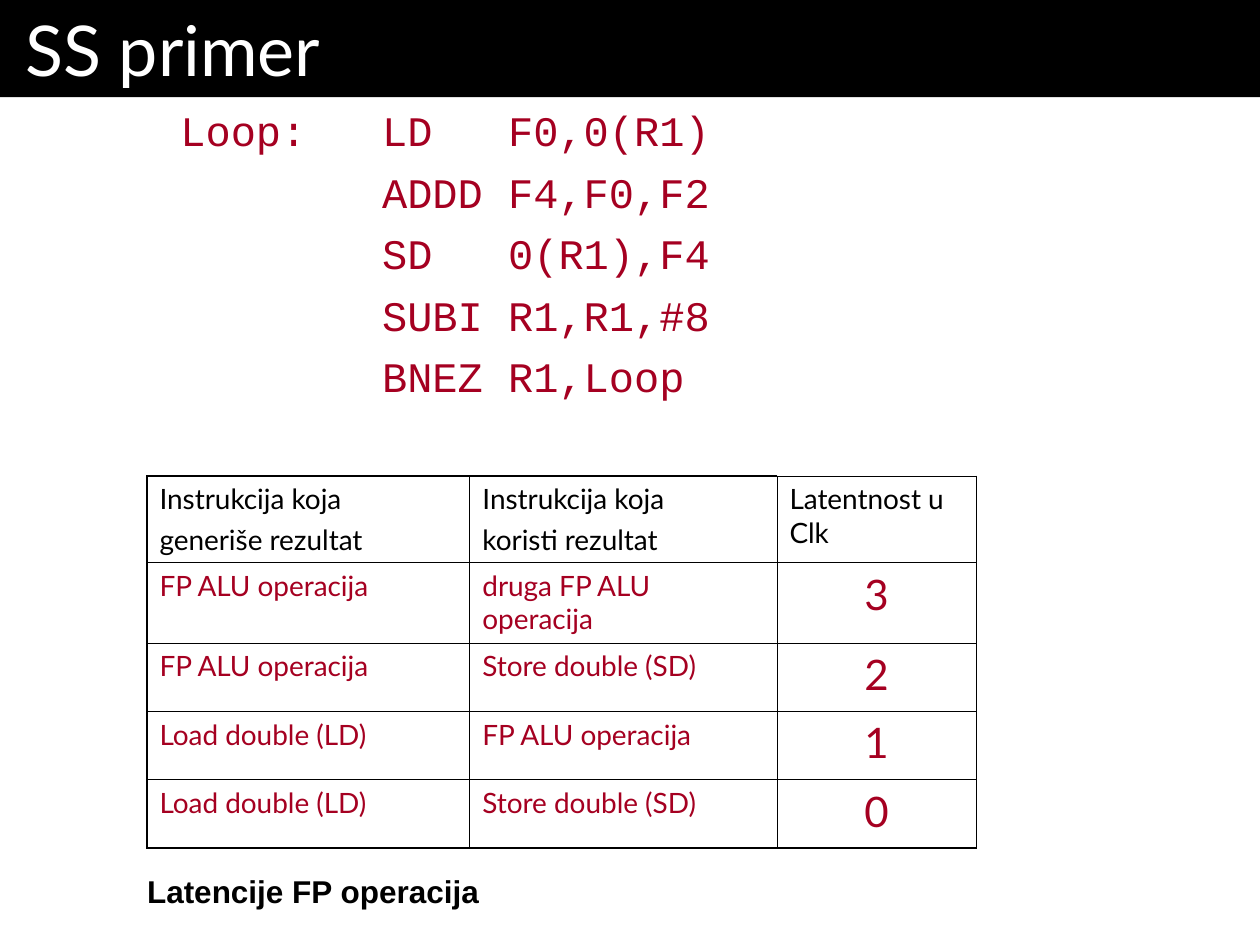
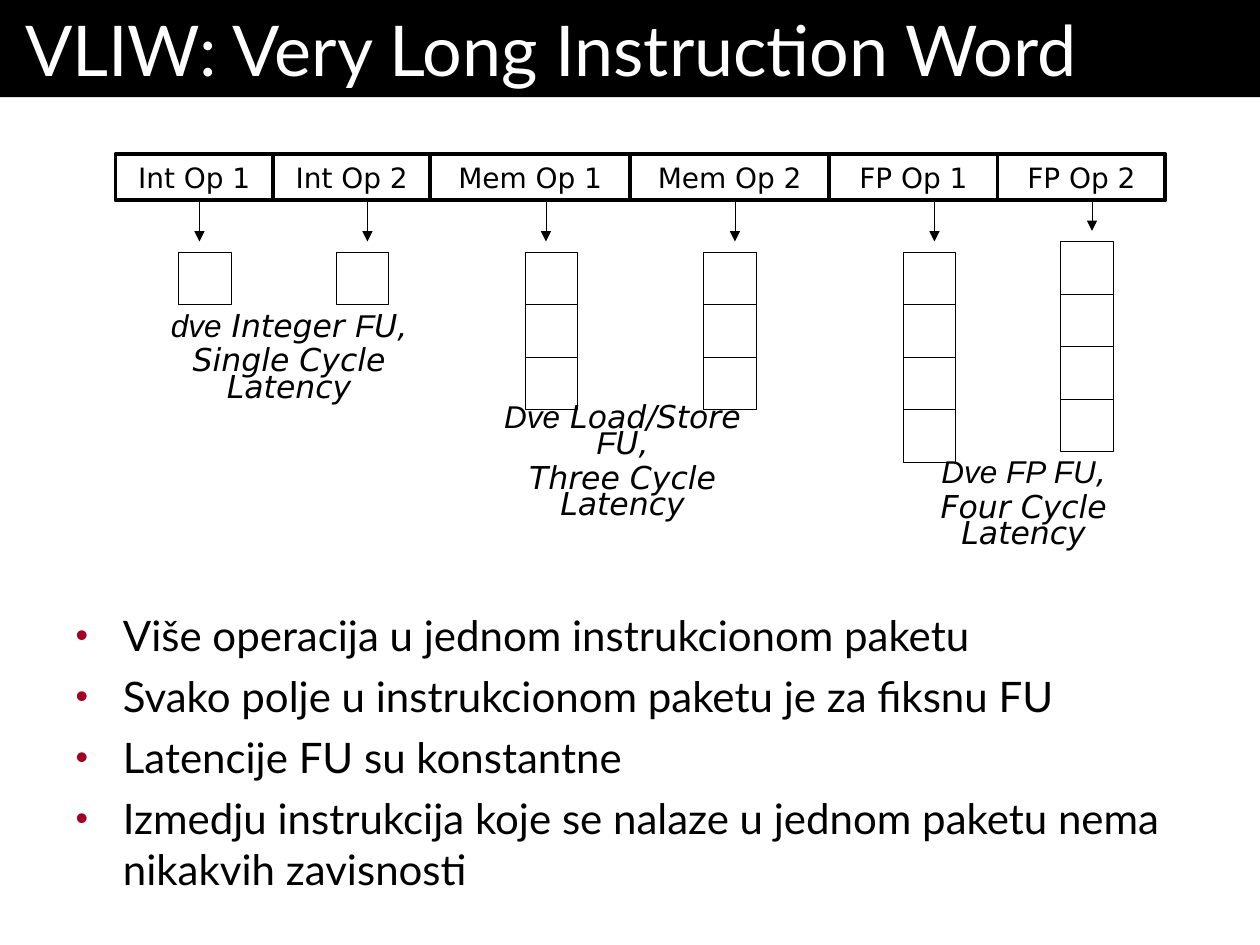
from dataclasses import dataclass
from itertools import accumulate

from lxml import etree
from pptx import Presentation
from pptx.dml.color import RGBColor
from pptx.enum import shapes, text
from pptx.oxml import ns
from pptx.util import Pt


@dataclass(frozen=True)
class Theme:
    ink: RGBColor = RGBColor(0, 0, 0)
    paper: RGBColor = RGBColor(255, 255, 255)
    accent: RGBColor = RGBColor(0xA5, 0x00, 0x21)
    main_font: str = "Lato"
    code_font: str = "Courier New"
    caption_font: str = "Arial"
    diagram_font: str = "DejaVu Sans"
    title_size: float = 40
    body_size: float = 24
    label_size: float = 18
    small_size: float = 16
    thin: float = 0.25
    grid: float = 0.45
    frame: float = 1.08
    thick: float = 2.25


THEME = Theme()
CENTER, LEFT = text.PP_ALIGN.CENTER, text.PP_ALIGN.LEFT
TOP, MIDDLE, BOTTOM = (text.MSO_ANCHOR.TOP, text.MSO_ANCHOR.MIDDLE,
                       text.MSO_ANCHOR.BOTTOM)

# Content: loop example
LOOP_TITLE = "SS primer"
LOOP_CODE = [
    "Loop:   LD   F0,0(R1)",
    "        ADDD F4,F0,F2",
    "        SD   0(R1),F4",
    "        SUBI R1,R1,#8",
    "        BNEZ R1,Loop",
]
LATENCY_ROWS = [
    (["Instrukcija koja", "generiše rezultat"],
     ["Instrukcija koja", "koristi rezultat"], ["Latentnost u Clk"]),
    (["FP ALU operacija"], ["druga FP ALU operacija"], ["3"]),
    (["FP ALU operacija"], ["Store double (SD)"], ["2"]),
    (["Load double (LD)"], ["FP ALU operacija"], ["1"]),
    (["Load double (LD)"], ["Store double (SD)"], ["0"]),
]
LATENCY_WIDTHS = [184.5, 175.5, 114]
LATENCY_HEIGHTS = [49.5, 46, 39, 39, 39]
LATENCY_CAPTION = "Latencije FP operacija"

# Content: VLIW packet
VLIW_TITLE = "VLIW: Very Long Instruction Word"
# operation, field width, arrow x, pipeline left, pipeline top, stages
OPERATIONS = [
    ("Int Op 1", 90, 114, 102, 144, 1),
    ("Int Op 2", 90, 210, 192, 144, 1),
    ("Mem Op 1", 114, 312, 300, 144, 3),
    ("Mem Op 2", 114, 420, 402, 144, 3),
    ("FP Op 1", 96, 534, 516, 144, 4),
    ("FP Op 2", 96, 624, 606, 138, 4),
]
PACKET_LEFT, PACKET_TOP, PACKET_HEIGHT = 66, 88, 26.5
STAGE_SIZE, ARROW_GAP = 30, 6
ARIAL, DEJAVU = THEME.caption_font, THEME.diagram_font
UNIT_LABELS = [
    ((78.5, 184.5, 173.5, 42.5),
     [[("dve", ARIAL), (" Integer ", DEJAVU), ("F", ARIAL), ("U,", DEJAVU)],
      [("Single Cycle Latency", DEJAVU)]]),
    ((270.5, 244, 170.5, 42.5),
     [[("Dve", ARIAL), (" Load/Store ", DEJAVU), ("F", ARIAL), ("U,", DEJAVU)],
      [("Three Cycle Latency", DEJAVU)]]),
    ((504.5, 268, 161, 42.5),
     [[("Dve FP FU", ARIAL), (",", DEJAVU)],
      [("Four Cycle Latency", DEJAVU)]]),
]
VLIW_POINTS = [
    "Više operacija u jednom instrukcionom paketu",
    "Svako polje u instrukcionom paketu je za fiksnu FU",
    "Latencije FU su konstantne",
    "Izmedju instrukcija koje se nalaze u jednom paketu nema nikakvih zavisnosti",
]


# Shared helpers
def apply(target, formats):
    for name, value in formats.items():
        setattr(target, name, value)


def points(*lengths):
    return [Pt(length) for length in lengths]


def place(shape, left, top, width, height):
    apply(shape, dict(left=Pt(left), top=Pt(top), width=Pt(width), height=Pt(height)))


def add_bullet(paragraph):
    properties = paragraph._p.get_or_add_pPr()
    properties.set("marL", str(Pt(27)))
    properties.set("indent", str(-Pt(27)))
    color = etree.SubElement(properties, ns.qn("a:buClr"))
    etree.SubElement(color, ns.qn("a:srgbClr"), val=str(THEME.accent))
    etree.SubElement(properties, ns.qn("a:buSzPct"), val="85000")
    etree.SubElement(properties, ns.qn("a:buFont"), typeface=THEME.caption_font)
    etree.SubElement(properties, ns.qn("a:buChar"), char="•")


def write(frame, lines, size, font=THEME.main_font, color=THEME.ink, align=LEFT,
          anchor=TOP, wrap=True, side=7.2, gap=0, spacing=None, bullet=False,
          **font_formats):
    """Fill a text frame; a line is a string or a list of (text, font) runs."""
    apply(frame, dict(auto_size=text.MSO_AUTO_SIZE.NONE, word_wrap=wrap,
                      vertical_anchor=anchor, margin_left=Pt(side),
                      margin_right=Pt(side), margin_top=Pt(3.6),
                      margin_bottom=Pt(3.6)))
    write_lines(frame, lines, size, font, color, align, gap, spacing, bullet,
                font_formats)


def write_lines(frame, lines, size, font, color, align=LEFT, gap=0,
                spacing=None, bullet=False, font_formats=None):
    for index, line in enumerate(lines):
        paragraph = frame.add_paragraph() if index else frame.paragraphs[0]
        if bullet:
            add_bullet(paragraph)
        apply(paragraph, dict(alignment=align, line_spacing=spacing,
                              space_before=Pt(gap if index else 0)))
        for words, typeface in [(line, font)] if isinstance(line, str) else line:
            run = paragraph.add_run()
            run.text = words
            apply(run.font, dict(name=typeface, size=Pt(size), **(font_formats or {})))
            run.font.color.rgb = color


def add_text(slide, box, lines, size, **formats):
    write(slide.shapes.add_textbox(*points(*box)).text_frame, lines, size, **formats)


def add_box(slide, box, line_width):
    shape = slide.shapes.add_shape(shapes.MSO_SHAPE.RECTANGLE, *points(*box))
    shape.shadow.inherit = False
    shape.fill.background()
    shape.line.color.rgb = THEME.ink
    shape.line.width = Pt(line_width)
    return shape


def add_arrow(slide, x, top, bottom):
    arrow = slide.shapes.add_connector(shapes.MSO_CONNECTOR.STRAIGHT,
                                       *points(x, top, x, bottom))
    arrow.line.color.rgb = THEME.ink
    arrow.line.width = Pt(THEME.thin)
    etree.SubElement(arrow.line._get_or_add_ln(), ns.qn("a:tailEnd"), type="triangle")
    etree.SubElement(arrow._element.spPr, ns.qn("a:effectLst"))


def add_slide(presentation, layout_index, title):
    slide = presentation.slides.add_slide(presentation.slide_layouts[layout_index])
    band = slide.shapes.title
    place(band, 0, 0, 720, 55.5)
    band.fill.solid()
    band.fill.fore_color.rgb = THEME.ink
    write(band.text_frame, [title], THEME.title_size, color=THEME.paper,
          anchor=MIDDLE, side=14.4)
    return slide


# Latency table
def set_borders(cell, widths):
    properties = cell._tc.get_or_add_tcPr()
    for index, (side, width) in enumerate(widths.items()):
        line = etree.Element(ns.qn(f"a:ln{side}"), w=str(Pt(width)))
        fill = etree.SubElement(line, ns.qn("a:solidFill"))
        etree.SubElement(fill, ns.qn("a:srgbClr"), val=str(THEME.ink))
        properties.insert(index, line)


def add_latency_table(slide):
    last_row, last_column = len(LATENCY_ROWS) - 1, len(LATENCY_WIDTHS) - 1
    table = slide.shapes.add_table(
        last_row + 1, last_column + 1,
        *points(84, 272, sum(LATENCY_WIDTHS), sum(LATENCY_HEIGHTS))).table
    apply(table, dict(first_row=False, horz_banding=False))
    for column, width in zip(table.columns, LATENCY_WIDTHS):
        column.width = Pt(width)
    for row, height in zip(table.rows, LATENCY_HEIGHTS):
        row.height = Pt(height)
    for row, contents in enumerate(LATENCY_ROWS):
        for column, lines in enumerate(contents):
            cell = table.cell(row, column)
            is_number = row > 0 and column == last_column
            apply(cell, dict(margin_left=Pt(7.2), margin_right=Pt(7.2),
                             margin_top=Pt(3.6), margin_bottom=Pt(3.6)))
            cell.fill.background()
            write_lines(cell.text_frame, lines,
                        THEME.body_size if is_number else THEME.small_size,
                        THEME.main_font, THEME.accent if row else THEME.ink,
                        CENTER if is_number else LEFT, gap=4)
            on_frame = dict(L=column == 0, R=column == last_column,
                            T=row == 0 and column < last_column, B=row == last_row)
            set_borders(cell, {side: THEME.frame if outer else THEME.grid
                               for side, outer in on_frame.items()})


# Slides
def build_loop_slide(presentation):
    slide = add_slide(presentation, 5, LOOP_TITLE)
    add_text(slide, (96, 63.5, 540, 168.5), LOOP_CODE, THEME.body_size,
             font=THEME.code_font, color=THEME.accent, anchor=BOTTOM,
             gap=15, spacing=0.7)
    add_latency_table(slide)
    add_text(slide, (77, 494.5, 204.5, 29), [LATENCY_CAPTION], THEME.label_size,
             font=THEME.caption_font, anchor=BOTTOM, wrap=False, bold=True)


def build_vliw_slide(presentation):
    slide = add_slide(presentation, 1, VLIW_TITLE)
    body = slide.placeholders[1]
    place(body, 36, 345, 655, 169)
    write(body.text_frame, VLIW_POINTS, THEME.body_size, anchor=MIDDLE,
          gap=6, bullet=True)

    # Packet fields, arrows and pipelines
    field_lefts = accumulate((operation[1] for operation in OPERATIONS),
                             initial=PACKET_LEFT)
    for field_left, operation in zip(field_lefts, OPERATIONS):
        name, width, arrow_x, left, top, stages = operation
        field = add_box(slide, (field_left, PACKET_TOP, width, PACKET_HEIGHT),
                        THEME.thick)
        write(field.text_frame, [name], THEME.small_size, font=THEME.diagram_font,
              align=CENTER, anchor=MIDDLE)
        add_arrow(slide, arrow_x, PACKET_TOP + PACKET_HEIGHT, top - ARROW_GAP)
        for stage in range(stages):
            add_box(slide, (left, top + stage * STAGE_SIZE, STAGE_SIZE, STAGE_SIZE),
                    THEME.thin)

    # Functional unit labels
    for box, lines in UNIT_LABELS:
        add_text(slide, box, lines, THEME.label_size, align=CENTER, anchor=MIDDLE,
                 gap=4.5, spacing=0.7, italic=True)


def main():
    presentation = Presentation()
    apply(presentation, dict(slide_width=Pt(720), slide_height=Pt(540)))
    build_loop_slide(presentation)
    build_vliw_slide(presentation)
    presentation.save("out.pptx")


if __name__ == "__main__":
    main()
